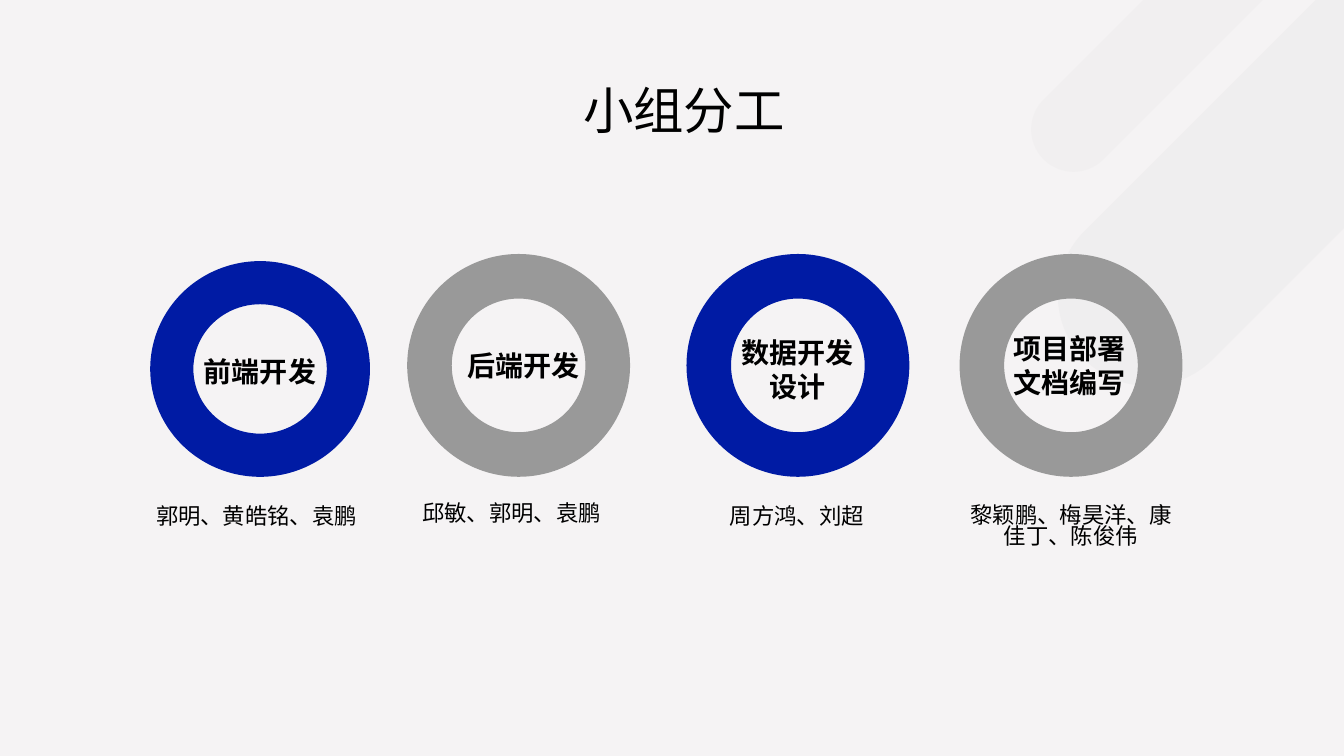
import math

import pptx
import pptx.dml.color
import pptx.enum.shapes
import pptx.enum.text
import pptx.oxml.ns
import pptx.util
from lxml import etree

WIDTH, HEIGHT = pptx.util.Inches(13.33), pptx.util.Inches(7.5)
FONT = "Noto Sans CJK SC"
BLUE, GREY, BLACK = "001BA4", "999999", "000000"
CENTER = pptx.enum.text.PP_ALIGN.CENTER
JUSTIFY = pptx.enum.text.PP_ALIGN.JUSTIFY
RING_BOTTOM = 63.07
RING_SIZE = (16.58, 29.47)

# Positions and sizes are percentages of the slide:
# ring (left, size), label (left, top, width), members (left, top, width)
ROLES = [
    (BLUE, 11.18, (16.35, 28.53), ["前端开发"], (13.65, 46.27, 11.4),
     "郭明、黄皓铭、袁鹏", (10.8, 66.53, 16.58), CENTER),
    (GREY, 30.3, RING_SIZE, ["后端开发"], (33.23, 45.47, 11.4),
     "邱敏、郭明、袁鹏", (30.68, 66.13, 20.03), JUSTIFY),
    (BLUE, 51.08, RING_SIZE, ["数据开发设计"], (53.63, 43.73, 11.4),
     "周方鸿、刘超", (51, 66.53, 16.58), CENTER),
    (GREY, 71.4, RING_SIZE, ["项目部署", "文档编写"], (71.18, 43.2, 16.8),
     "黎颖鹏、梅昊洋、康佳丁、陈俊伟", (71.4, 66.4, 16.58), CENTER),
]


def across(percent):
    return round(WIDTH * percent / 100)


def down(percent):
    return round(HEIGHT * percent / 100)


def rgb(color):
    return pptx.dml.color.RGBColor.from_string(color)


def paint(shape, color, opacity=100):
    shape.shadow.inherit = False
    shape.line.fill.background()
    shape.fill.solid()
    shape.fill.fore_color.rgb = rgb(color)
    if opacity < 100:
        tint = shape.fill._xPr.find(".//" + pptx.oxml.ns.qn("a:srgbClr"))
        etree.SubElement(tint, pptx.oxml.ns.qn("a:alpha"), val=str(opacity * 1000))


def add_diagonal_bar(slide, center, radius, color, opacity):
    """A bar rising at 45 degrees from a round end, cut at the slide's edges."""
    x, y, r = across(center[0]), down(center[1]), across(radius)
    cap = [(x + r * math.cos(math.radians(a)), y + r * math.sin(math.radians(a)))
           for a in range(45, 226, 3)]
    upper_exit, lower_exit = sum(cap[-1]), sum(cap[0])
    outline = cap + [(upper_exit, 0)]
    if lower_exit > WIDTH:
        outline += [(WIDTH, 0), (WIDTH, lower_exit - WIDTH)]
    else:
        outline.append((lower_exit, 0))
    builder = slide.shapes.build_freeform(round(cap[0][0]), round(cap[0][1]))
    builder.add_line_segments([(round(px), round(py)) for px, py in outline[1:]])
    paint(builder.convert_to_shape(), color, opacity)


def add_ring(slide, left, size, color):
    width, height = size
    ring = slide.shapes.add_shape(
        pptx.enum.shapes.MSO_SHAPE.DONUT, across(left), down(RING_BOTTOM - height),
        across(width), down(height))
    ring.adjustments[0] = 0.2
    paint(ring, color)


def add_text(slide, lines, place, height, size, bold=False, align=CENTER,
             spacing=None, anchor=pptx.enum.text.MSO_ANCHOR.TOP):
    left, top, width = place
    frame = slide.shapes.add_textbox(
        across(left), down(top), across(width), down(height)).text_frame
    frame.word_wrap = True
    frame.vertical_anchor = anchor
    frame.text = "\n".join(lines)
    for paragraph in frame.paragraphs:
        paragraph.alignment = align
        paragraph.line_spacing = spacing
        font = paragraph.font
        font.size = pptx.util.Pt(size)
        font.bold = bold
        font.color.rgb = rgb(BLACK)
        font.name = FONT
        # East Asian typeface
        etree.SubElement(font._rPr, pptx.oxml.ns.qn("a:ea"), typeface=FONT)


def main():
    deck = pptx.Presentation()
    deck.slide_width, deck.slide_height = WIDTH, HEIGHT
    slide = deck.slides.add_slide(deck.slide_layouts[6])

    # Background
    slide.background.fill.solid()
    slide.background.fill.fore_color.rgb = rgb("F5F3F4")
    add_diagonal_bar(slide, (85.46, 39.07), 6.75, "D3D3D3", 15)
    add_diagonal_bar(slide, (79.88, 17.13), 3.15, "E3E3E3", 20)

    # Team roles
    for color, left, size, label, label_place, members, members_place, align in ROLES:
        add_ring(slide, left, size, color)
        add_text(slide, [members], members_place, 4.13, 16, align=align,
                 spacing=pptx.util.Pt(15))
        add_text(slide, label, label_place, 5.87, 20, bold=True)

    # Title
    add_text(slide, ["小组分工"], (8.7, 5.33, 84.38), 19.33, 36, spacing=0.9,
             anchor=pptx.enum.text.MSO_ANCHOR.MIDDLE)

    deck.save("out.pptx")


if __name__ == "__main__":
    main()
